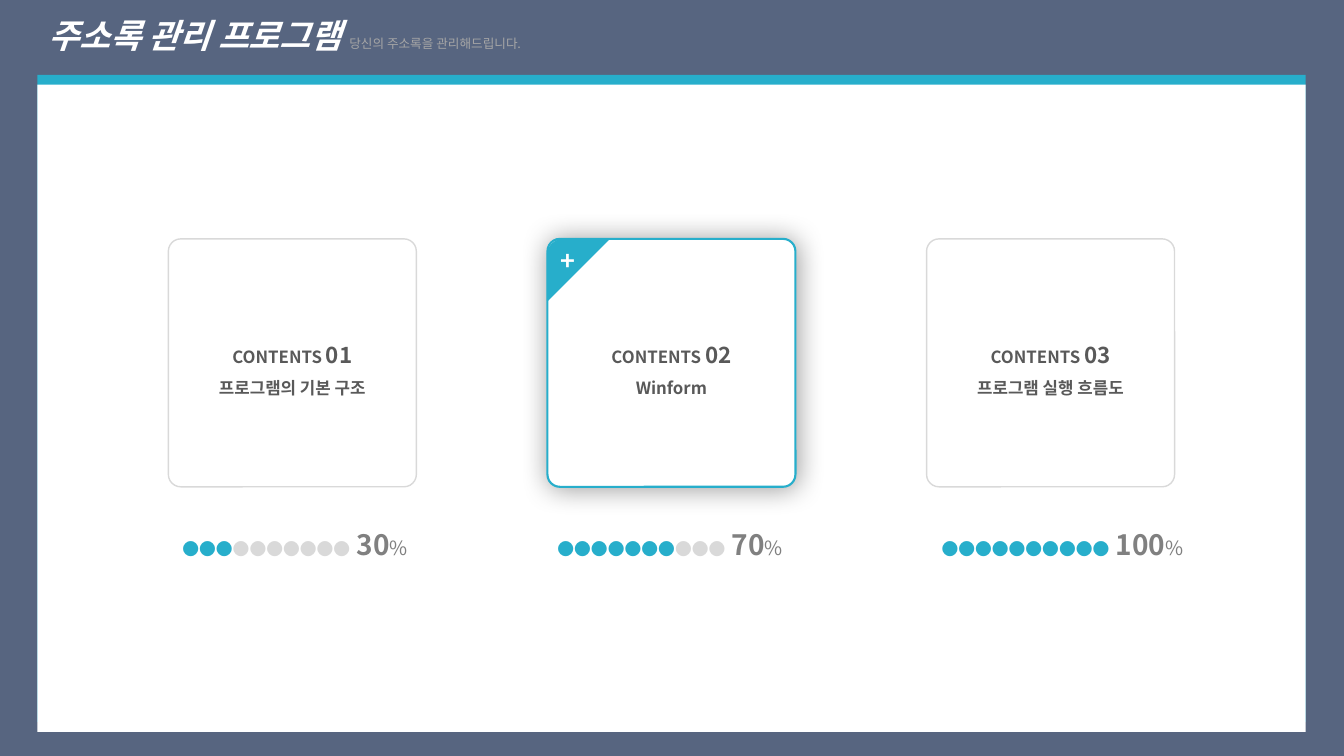
from math import cos, pi, sin

from lxml import etree
from pptx import Presentation
from pptx.dml.color import RGBColor
from pptx.enum import shapes, text
from pptx.oxml.ns import qn
from pptx.util import Inches, Pt

FONT = "Noto Sans CJK KR"
TEAL, WHITE, SLATE = "27AECB", "FFFFFF", "576580"
PALE, SILVER, GREY, DARK = "D9D9D9", "A6A6A6", "808080", "595959"

TITLE = "주소록 관리 프로그램 "
SUBTITLE = "당신의 주소록을 관리해드립니다."
# number, topic, percent done, left of the progress line, its width
CONTENTS = [
    ("01", "프로그램의 기본 구조", 30, 1.71, 2.49),
    ("02", "Winform", 70, 5.43, 2.49),
    ("03", "프로그램 실행 흐름도", 100, 9.24, 2.66),
]
ACTIVE = "02"

CARD_LEFT, CARD_TOP, CARD_SIZE, CARD_STEP = 1.67, 2.37, 2.46, 3.76
FLAG_SIZE, FLAG_RADIUS = 0.61, 0.17
PROGRESS_TOP, PROGRESS_HEIGHT = 5.18, 0.44
DOTS = 10


def color(value):
    return RGBColor.from_string(value)


def add_span(para, words, size, ink, bold=True, italic=False):
    span = para.add_run()
    span.text = words
    font = span.font
    font.name, font.size, font.bold, font.italic = FONT, Pt(size), bold, italic
    font.color.rgb = color(ink)
    # Korean letters take the East Asian typeface
    etree.SubElement(span._r.get_or_add_rPr(), qn("a:ea"), typeface=FONT)


def paint(shape, fill, line=None, width=1):
    shape.shadow.inherit = False
    shape.fill.solid()
    shape.fill.fore_color.rgb = color(fill)
    if line:
        shape.line.color.rgb = color(line)
        shape.line.width = Pt(width)
    else:
        shape.line.fill.background()


def cast_shadow(shape, ink, opacity, blur, distance, angle):
    """Add an outer shadow; lengths in points, opacity in percent, angle in degrees."""
    effects = shape._element.spPr.find(qn("a:effectLst"))
    shadow = etree.SubElement(
        effects, qn("a:outerShdw"), blurRad=str(Pt(blur)), dist=str(Pt(distance)),
        dir=str(angle * 60000), algn="ctr", rotWithShape="0")
    tint = etree.SubElement(shadow, qn("a:srgbClr"), val=ink)
    etree.SubElement(tint, qn("a:alpha"), val=str(opacity * 1000))


def add_text_line(page, left, top, width, height, wrap):
    box = page.shapes.add_textbox(*map(Inches, (left, top, width, height)))
    box.text_frame.word_wrap = wrap
    box.text_frame.auto_size = text.MSO_AUTO_SIZE.SHAPE_TO_FIT_TEXT
    return box.text_frame.paragraphs[0]


def add_card(page, left, number, topic):
    card = page.shapes.add_shape(
        shapes.MSO_SHAPE.ROUNDED_RECTANGLE,
        *map(Inches, (left, CARD_TOP, CARD_SIZE, CARD_SIZE)))
    card.adjustments[0] = 0.05
    if number == ACTIVE:
        paint(card, WHITE, TEAL, 1.5)
        cast_shadow(card, "000000", 40, 20, 1, 45)
    else:
        paint(card, WHITE, PALE)
    frame = card.text_frame
    frame.word_wrap = True
    frame.vertical_anchor = text.MSO_ANCHOR.MIDDLE
    heading, detail = frame.paragraphs[0], frame.add_paragraph()
    for para in (heading, detail):
        para.alignment = text.PP_ALIGN.CENTER
        para.line_spacing = 1.5
    add_span(heading, "CONTENTS ", 12, DARK)
    add_span(heading, number, 16, DARK)
    add_span(detail, topic, 12, DARK)


def add_corner_flag(page, left):
    """Draw the corner triangle whose outer corner is rounded."""
    steps = 12
    arc = [(left + FLAG_RADIUS * (1 - cos(turn)), CARD_TOP + FLAG_RADIUS * (1 - sin(turn)))
           for turn in (pi / 2 * step / steps for step in range(steps + 1))]
    builder = page.shapes.build_freeform(
        Inches(left + FLAG_SIZE), Inches(CARD_TOP), scale=1.0)
    outline = [(left, CARD_TOP + FLAG_SIZE)] + arc
    builder.add_line_segments([(Inches(x), Inches(y)) for x, y in outline], close=True)
    flag = builder.convert_to_shape()
    paint(flag, TEAL, TEAL)
    frame = flag.text_frame
    frame.margin_left, frame.margin_top = 0, Inches(0.05)
    frame.margin_right, frame.margin_bottom = Inches(0.2), Inches(0.24)
    frame.vertical_anchor = text.MSO_ANCHOR.MIDDLE
    para = frame.paragraphs[0]
    para.alignment = text.PP_ALIGN.CENTER
    add_span(para, "+", 18, WHITE)


def add_progress(page, left, width, percent):
    para = add_text_line(page, left, PROGRESS_TOP, width, PROGRESS_HEIGHT, wrap=False)
    done = percent * DOTS // 100
    add_span(para, "●" * done, 12, TEAL)
    if done < DOTS:
        add_span(para, "●" * (DOTS - done), 12, PALE)
    add_span(para, f" {percent}", 20, GREY)
    add_span(para, "%", 14, GREY, bold=False)


def main():
    deck = Presentation()
    deck.slide_width, deck.slide_height = Inches(13.33), Inches(7.5)
    page = deck.slides.add_slide(deck.slide_layouts[6])
    page.background.fill.solid()
    page.background.fill.fore_color.rgb = color(SLATE)

    panel = page.shapes.add_shape(
        shapes.MSO_SHAPE.RECTANGLE, *map(Inches, (0.37, 0.84, 12.58, 6.42)))
    paint(panel, WHITE)
    cast_shadow(panel, TEAL, 100, 0, 7, 270)

    title = add_text_line(page, 0.38, 0.1, 8.24, 0.5, wrap=True)
    add_span(title, TITLE, 24, WHITE, italic=True)
    add_span(title, SUBTITLE, 9, SILVER, bold=False)

    for index, (number, topic, percent, left, width) in enumerate(CONTENTS):
        card_left = CARD_LEFT + index * CARD_STEP
        add_card(page, card_left, number, topic)
        if number == ACTIVE:
            add_corner_flag(page, card_left)
        add_progress(page, left, width, percent)

    deck.save("out.pptx")


if __name__ == "__main__":
    main()
